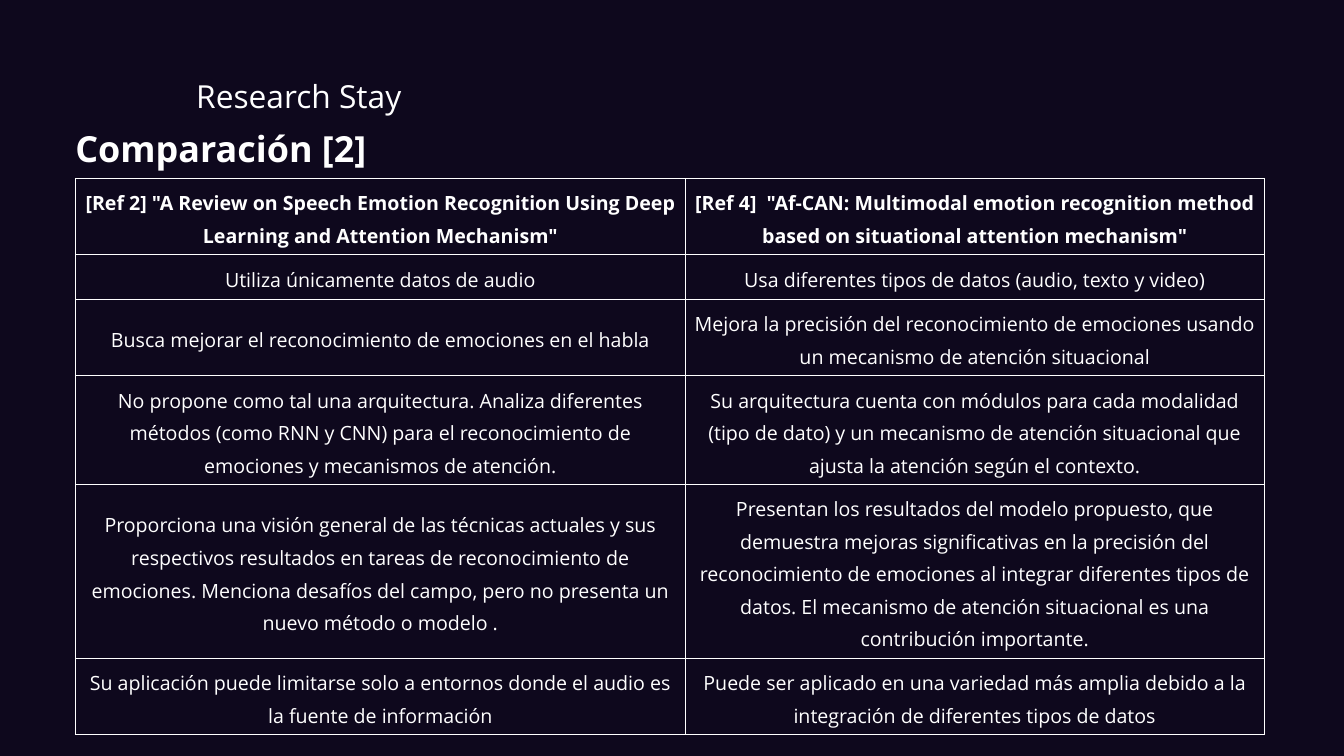
from dataclasses import dataclass
from lxml.etree import SubElement as Sub
from pptx import Presentation
from pptx.dml.color import RGBColor as Rgb
from pptx.enum.text import MSO_ANCHOR as Anchor, MSO_AUTO_SIZE as Fit, PP_ALIGN as Align
from pptx.oxml.ns import qn
from pptx.util import Inches, Pt


@dataclass(frozen=True)
class Theme:
    back: str = "0E081D"
    ink: str = "FFFFFF"
    font: str = "Open Sans"
    label: float = 34
    title: float = 38.5
    body: float = 21
    lead: float = 34.9
    rule: float = 0.75


theme = Theme()

LABEL = "Research Stay"
TITLE = "Comparación [2]"
ROWS = [
    (2, '[Ref 2] "A Review on Speech Emotion Recognition Using Deep Learning and Attention Mechanism"',
     '[Ref 4]  "Af-CAN: Multimodal emotion recognition method based on situational attention mechanism"'),
    (1, "Utiliza únicamente datos de audio",
     "Usa diferentes tipos de datos (audio, texto y video)"),
    (2, "Busca mejorar el reconocimiento de emociones en el habla",
     "Mejora la precisión del reconocimiento de emociones usando un mecanismo de atención situacional"),
    (3, "No propone como tal una arquitectura. Analiza diferentes métodos (como RNN y CNN) "
     "para el reconocimiento de emociones y mecanismos de atención.",
     "Su arquitectura cuenta con módulos para cada modalidad (tipo de dato) y un mecanismo "
     "de atención situacional que ajusta la atención según el contexto."),
    (5, "Proporciona una visión general de las técnicas actuales y sus respectivos resultados "
     "en tareas de reconocimiento de emociones. Menciona desafíos del campo, pero no presenta "
     "un nuevo método o modelo .",
     "Presentan los resultados del modelo propuesto, que demuestra mejoras significativas en "
     "la precisión del reconocimiento de emociones al integrar diferentes tipos de datos. "
     "El mecanismo de atención situacional es una contribución importante."),
    (2, "Su aplicación puede limitarse solo a entornos donde el audio es la fuente de información",
     "Puede ser aplicado en una variedad más amplia debido a la integración de diferentes tipos de datos"),
]
COLS = (9.08, 8.61)
LEFT, TOP = 1.12, 2.65
LINE, PAD, INSET = 0.48, 0.18, 0.08


def write(frame, text, size, lead, bold=False, align=Align.LEFT):
    frame.text = text
    para = frame.paragraphs[0]
    para.alignment = align
    para.line_spacing = Pt(lead)
    font = para.runs[0].font
    font.name, font.size, font.bold = theme.font, Pt(size), bold
    font.color.rgb = Rgb.from_string(theme.ink)


def head(box, area, text, size, lead, bold=False):
    box.left, box.top, box.width, box.height = map(Inches, area)
    frame = box.text_frame
    frame.margin_left = frame.margin_right = frame.margin_top = frame.margin_bottom = 0
    frame.word_wrap = True
    frame.auto_size = Fit.NONE
    frame.vertical_anchor = Anchor.TOP
    write(frame, text, size, lead, bold)


def frame_cell(cell):
    props = cell._tc.get_or_add_tcPr()
    for side in ("a:lnL", "a:lnR", "a:lnT", "a:lnB"):
        line = Sub(props, qn(side), w=str(Pt(theme.rule)))
        fill = Sub(line, qn("a:solidFill"))
        Sub(fill, qn("a:srgbClr"), val=theme.ink)
    cell.fill.background()


def fill_table(slide):
    highs = [LINE * lines + PAD for lines, *_ in ROWS]
    area = map(Inches, (LEFT, TOP, sum(COLS), sum(highs)))
    grid = slide.shapes.add_table(len(ROWS), len(COLS), *area).table
    grid.horz_banding = False
    for col, width in zip(grid.columns, COLS):
        col.width = Inches(width)
    for i, (high, (_, *texts)) in enumerate(zip(highs, ROWS)):
        grid.rows[i].height = Inches(high)
        for cell, text in zip(grid.rows[i].cells, texts):
            cell.margin_left = cell.margin_right = Inches(INSET)
            cell.margin_top = cell.margin_bottom = Inches(INSET)
            cell.vertical_anchor = Anchor.MIDDLE
            write(cell.text_frame, text, theme.body, theme.lead, i == 0, Align.CENTER)
            frame_cell(cell)


def main():
    deck = Presentation()
    deck.slide_width, deck.slide_height = Inches(20), Inches(11.25)
    slide = deck.slides.add_slide(deck.slide_layouts[5])
    back = slide.background.fill
    back.solid()
    back.fore_color.rgb = Rgb.from_string(theme.back)
    fill_table(slide)
    label = slide.shapes.add_textbox(0, 0, 0, 0)
    head(label, (2.92, 1.05, 3.07, 0.63), LABEL, theme.label, 47.6)
    head(slide.shapes.title, (LEFT, 1.78, 4.35, 0.71), TITLE, theme.title, 53.9, True)
    deck.save("out.pptx")


if __name__ == "__main__":
    main()
